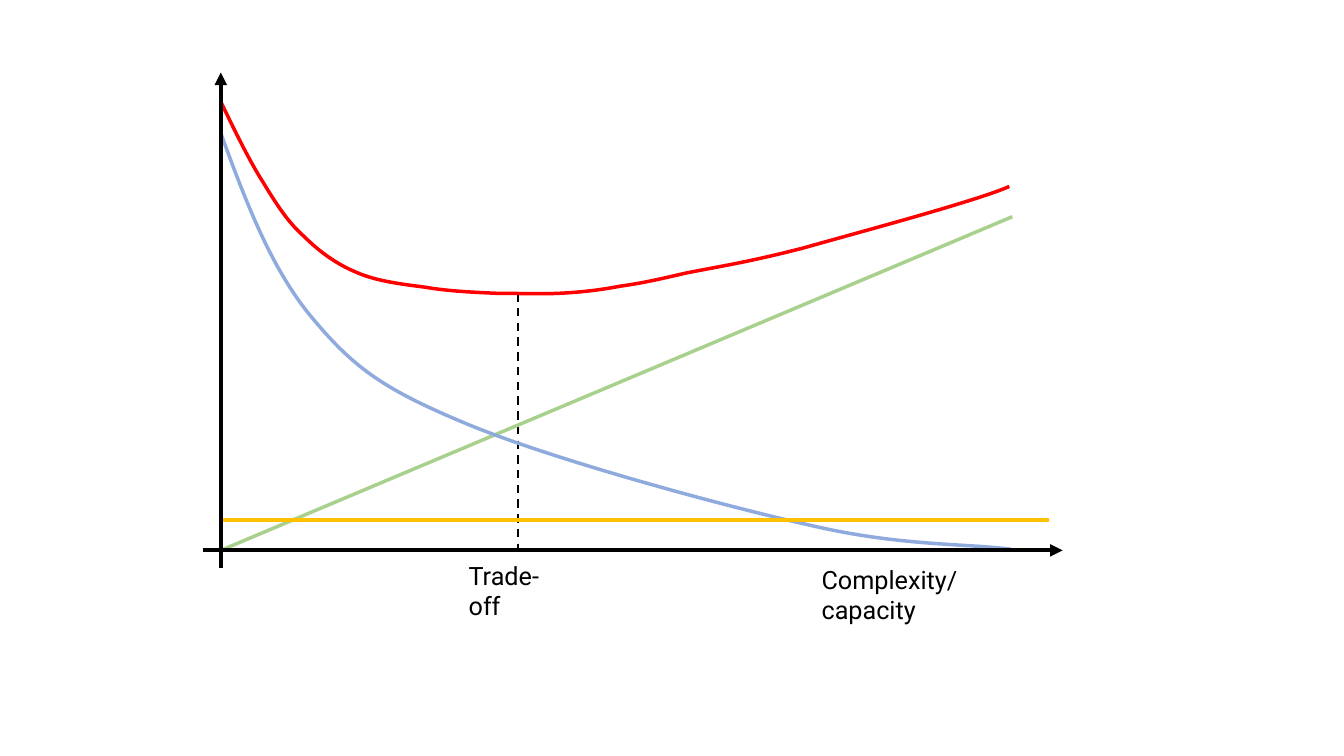
from dataclasses import dataclass

from lxml import etree
from pptx import Presentation
from pptx.dml.color import RGBColor
from pptx.enum.dml import MSO_LINE
from pptx.enum.shapes import MSO_CONNECTOR
from pptx.oxml.ns import qn
from pptx.util import Inches, Pt

STRAIGHT = MSO_CONNECTOR.STRAIGHT
DASH = MSO_LINE.DASH


@dataclass(frozen=True)
class Theme:
    """Colours, type and line sizes of the slide."""
    ink: str = "000000"
    total: str = "FF0000"
    bias: str = "8FAADC"
    spread: str = "A9D18E"
    noise: str = "FFC000"
    font: str = "Roboto"
    size: float = 18
    thin: float = 1.5
    curve: float = 2.5
    axis: float = 3


THEME = Theme()
COLS = 83.5
ROWS = 47.4

BIAS = [
    (0, 41.4), (2.5, 34.5), (5.1, 27.7), (9.2, 22.9), (13.3, 18),
    (16.3, 15.9), (24.5, 12.5), (32.7, 9.1), (49.4, 4.5), (58.4, 2.5),
    (67.3, 0.4), (73.8, 0.7), (78.4, 0.1),
]
TOTAL = [
    (0, 44.5), (1.4, 41.6), (2.8, 38.7), (4.2, 36.5), (5.6, 34.2),
    (6.7, 32.5), (8.3, 31.1), (9.8, 29.6), (11.5, 28.4), (13.4, 27.6),
    (15.4, 26.7), (18, 26.4), (20.3, 26.1), (22.6, 25.7), (25.1, 25.6),
    (27.3, 25.5), (29.6, 25.5), (31.5, 25.4), (33.6, 25.5), (35.6, 25.6),
    (37.5, 25.8), (39.6, 26.2), (41.7, 26.5), (43.1, 26.8), (46.1, 27.5),
    (49.1, 28.1), (52.4, 28.6), (57.8, 30), (63.1, 31.5), (75.1, 34.7),
    (78.2, 36.1),
]


def paint(line, color, width):
    """Set the colour and width of a line."""
    line.color.rgb = RGBColor.from_string(color)
    line.width = Pt(width)


def add_line(slide, start, end, color, width, dash=False, arrow=False):
    """Draw a straight line, dashed or with an arrowhead if asked."""
    link = slide.shapes.add_connector(STRAIGHT, *start, *end)
    paint(link.line, color, width)
    if dash:
        link.line.dash_style = DASH
    props = link._element.spPr
    if arrow:
        etree.SubElement(props.find(qn("a:ln")), qn("a:tailEnd"), type="triangle")
    etree.SubElement(props, qn("a:effectLst"))


def add_curve(slide, points, color, width):
    """Draw a smooth curve through a start point and Bezier triples."""
    build = slide.shapes.build_freeform(*points[0])
    build.add_line_segments(points[1:], close=False)
    shape = build.convert_to_shape()
    shape.shadow.inherit = False
    shape.fill.background()
    paint(shape.line, color, width)
    steps = list(shape._element.iter(qn("a:lnTo")))
    for first, second, third in zip(steps[::3], steps[1::3], steps[2::3]):
        first.tag = qn("a:cubicBezTo")
        for step in (second, third):
            first.append(step[0])
            step.getparent().remove(step)


def add_label(slide, text, spot, width, height):
    """Write a wrapping label with its top left corner at a spot."""
    box = slide.shapes.add_textbox(*spot, width, height)
    frame = box.text_frame
    frame.word_wrap = True
    frame.text = text
    font = frame.paragraphs[0].runs[0].font
    font.name = THEME.font
    font.size = Pt(THEME.size)
    font.color.rgb = RGBColor.from_string(THEME.ink)


def add_plot(slide, left, top, width, height):
    """Draw the trade-off plot with its origin at the box's lower left."""
    cell = width / COLS
    row = height / ROWS

    def at(x, y):
        """Turn columns right and rows up into a slide position."""
        return round(left + x * cell), round(top + height - y * row)

    def label(text, x, y, cols):
        """Place a label four rows high on the grid."""
        add_label(slide, text, at(x, y), round(cols * cell), round(4 * row))

    add_line(slide, at(29.5, 25.5), at(29.5, 0), THEME.ink, THEME.thin, dash=True)
    add_line(slide, at(0, 0), at(78.5, 33.1), THEME.spread, THEME.curve)
    for points, color in ((BIAS, THEME.bias), (TOTAL, THEME.total)):
        add_curve(slide, [at(*point) for point in points], color, THEME.curve)
    add_line(slide, at(-1.8, 0), at(COLS, 0), THEME.ink, THEME.axis, arrow=True)
    label("Complexity/capacity", 58.6, -0.9, 23.5)
    add_line(slide, at(0, 3), at(82.1, 3), THEME.noise, THEME.curve)
    add_line(slide, at(0, -1.8), at(0, ROWS), THEME.ink, THEME.axis, arrow=True)
    label("Trade-off", 23.6, -0.5, 11.7)


def main():
    """Build the slide and save it."""
    deck = Presentation()
    deck.slide_width = Inches(13.33)
    deck.slide_height = Inches(7.5)
    slide = deck.slides.add_slide(deck.slide_layouts[6])
    add_plot(slide, Inches(2.19), Inches(0.72), Inches(8.35), Inches(4.74))
    deck.save("out.pptx")


if __name__ == "__main__":
    main()
